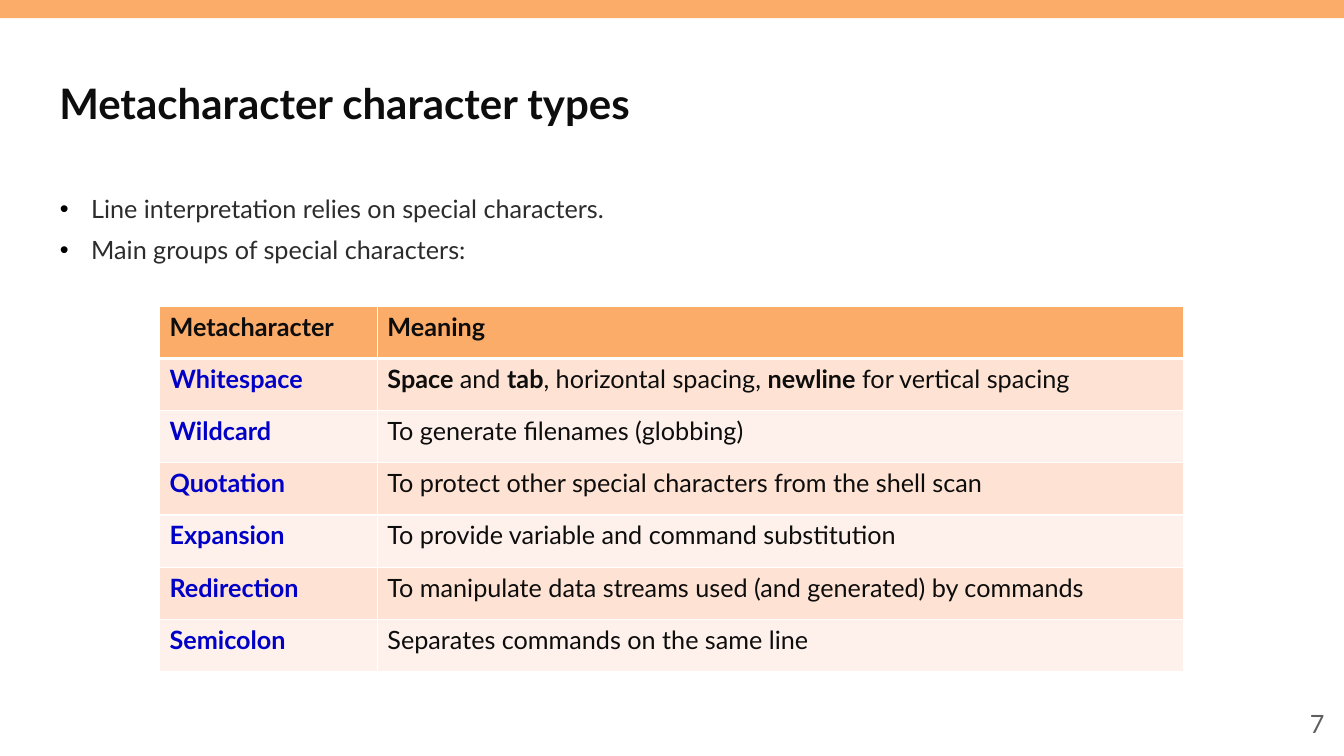
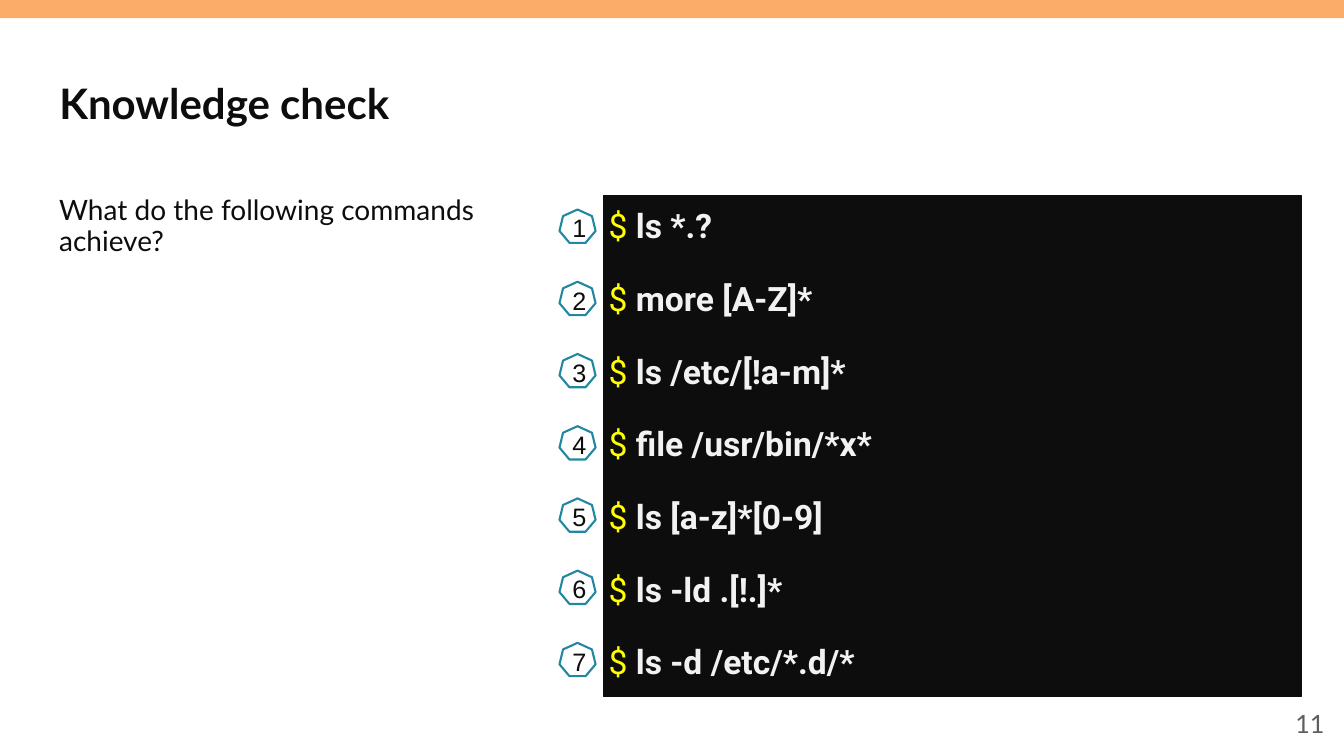
from pptx import Presentation
from pptx.dml.color import RGBColor
from pptx.enum.shapes import MSO_SHAPE
from pptx.enum.text import MSO_ANCHOR, PP_ALIGN
from pptx.oxml.ns import qn
from pptx.util import Cm, Pt
from lxml.etree import SubElement, Element

WIDE, HIGH = 33.87, 19.05
ORANGE, WHITE, INK = "FCAC69", "FFFFFF", "0D0D0D"
BLUE, SLATE, GREY = "0000C7", "2D2C2C", "5F5F5F"
TEAL, YELLOW, PALE = "2387A1", "FFFF00", "F2F2F2"
STRIPES = ("FEE3D4", "FEF1EB")
SANS, CODE, PLAIN = "Lato", "Roboto", "Arial"

POINTS = ("Line interpretation relies on special characters.",
          "Main groups of special characters:")
HEADS = ("Metacharacter", "Meaning")
GROUPS = (
    ("Whitespace", (("Space", True), (" and ", False), ("tab", True),
                    (", horizontal spacing, ", False), ("newline", True),
                    (" for vertical spacing", False))),
    ("Wildcard", (("To generate filenames (globbing)", False),)),
    ("Quotation", (("To protect other special characters from the shell scan", False),)),
    ("Expansion", (("To provide variable and command substitution", False),)),
    ("Redirection", (("To manipulate data streams used (and generated) by commands", False),)),
    ("Semicolon", (("Separates commands on the same line", False),)),
)
COMMANDS = ("ls *.?", "more [A-Z]*", "ls /etc/[!a-m]*", "file /usr/bin/*x*",
            "ls [a-z]*[0-9]", "ls -ld .[!.]*", "ls -d /etc/*.d/*")


def color(code):
    return RGBColor.from_string(code)


def style(run, size, code, bold=False, face=SANS):
    run.font.size = Pt(size)
    run.font.name = face
    run.font.bold = bold
    run.font.color.rgb = color(code)


def add_part(para, text, *look):
    run = para.add_run()
    run.text = text
    style(run, *look)


def inset(frame, left, top, right, bottom):
    frame.margin_left, frame.margin_top = Cm(left), Cm(top)
    frame.margin_right, frame.margin_bottom = Cm(right), Cm(bottom)


def add_form(slide, kind, box, fill=None, line=None, width=1):
    form = slide.shapes.add_shape(kind, *map(Cm, box))
    form.shadow.inherit = False
    if fill:
        form.fill.solid()
        form.fill.fore_color.rgb = color(fill)
    else:
        form.fill.background()
    if line:
        form.line.color.rgb = color(line)
        form.line.width = Pt(width)
    else:
        form.line.fill.background()
    return form


def add_text(slide, box, lines, size, code, align=PP_ALIGN.LEFT,
             anchor=MSO_ANCHOR.TOP, gap=0):
    frame = slide.shapes.add_textbox(*map(Cm, box)).text_frame
    frame.word_wrap = True
    frame.vertical_anchor = anchor
    frame.text = "\n".join(lines)
    for row, para in enumerate(frame.paragraphs):
        para.alignment = align
        para.line_spacing = 0.9
        if row:
            para.space_before = Pt(gap)
        style(para.runs[0], size, code)
    return frame


def add_bullet(para):
    props = para._p.get_or_add_pPr()
    props.set("marL", str(Cm(0.81)))
    props.set("indent", str(-Cm(0.79)))
    tint = SubElement(props, qn("a:buClr"))
    SubElement(tint, qn("a:srgbClr"), val="000000")
    SubElement(props, qn("a:buFont"), typeface=PLAIN)
    SubElement(props, qn("a:buChar"), char="•")


def start_slide(deck, title, number):
    slide = deck.slides.add_slide(deck.slide_layouts[5])
    add_form(slide, MSO_SHAPE.RECTANGLE, (0, 0, WIDE, 0.46), ORANGE)
    head = slide.shapes.title
    head.left, head.top, head.width, head.height = map(Cm, (1.24, 1.4, 31.4, 2.39))
    frame = head.text_frame
    frame.text = title
    frame.vertical_anchor = MSO_ANCHOR.MIDDLE
    frame.paragraphs[0].alignment = PP_ALIGN.LEFT
    style(frame.paragraphs[0].runs[0], 30, INK, True)
    add_text(slide, (26.01, 17.78, 7.62, 1.02), [number], 18, GREY,
             PP_ALIGN.RIGHT, MSO_ANCHOR.MIDDLE)
    return slide


def edge_cell(cell, base):
    props = cell._tc.get_or_add_tcPr()
    for place, (side, width) in enumerate((("L", 1), ("R", 1), ("T", 1), ("B", base))):
        line = Element(qn("a:ln" + side), w=str(Pt(width)))
        fill = SubElement(line, qn("a:solidFill"))
        SubElement(fill, qn("a:srgbClr"), val=WHITE)
        props.insert(place, line)


def fill_cell(cell, parts, code, back, base=1):
    cell.fill.solid()
    cell.fill.fore_color.rgb = color(back)
    edge_cell(cell, base)
    for text, bold in parts:
        add_part(cell.text_frame.paragraphs[0], text, 18, code, bold)


def add_groups(slide, box):
    grid = slide.shapes.add_table(len(GROUPS) + 1, 2, *map(Cm, box)).table
    first = 5.49
    grid.columns[0].width = Cm(first)
    grid.columns[1].width = Cm(box[2] - first)
    for row in grid.rows:
        row.height = Cm(box[3] / len(grid.rows))
    for col, head in enumerate(HEADS):
        fill_cell(grid.cell(0, col), [(head, True)], INK, ORANGE, 3)
    for row, (name, parts) in enumerate(GROUPS, 1):
        back = STRIPES[(row - 1) % 2]
        fill_cell(grid.cell(row, 0), [(name, True)], BLUE, back)
        fill_cell(grid.cell(row, 1), parts, INK, back)


def add_shell(slide, box):
    left, top = box[:2]
    panel = add_form(slide, MSO_SHAPE.RECTANGLE, box, INK, INK)
    frame = panel.text_frame
    frame.word_wrap = True
    frame.vertical_anchor = MSO_ANCHOR.MIDDLE
    inset(frame, 0.13, 0.05, 0.13, 0.05)
    for row, command in enumerate(COMMANDS):
        para = frame.add_paragraph() if row else frame.paragraphs[0]
        para.alignment = PP_ALIGN.LEFT
        para.line_spacing = 0.9
        if row:
            para.space_before = Pt(26)
        add_part(para, "$ ", 24, YELLOW, False, CODE)
        add_part(para, command, 24, PALE, True, CODE)
        add_badge(slide, (left - 1.11, top + 0.35 + 1.82 * row, 0.91, 0.84), row + 1)


def add_badge(slide, box, number):
    badge = add_form(slide, MSO_SHAPE.HEPTAGON, box, None, TEAL, 1.5)
    frame = badge.text_frame
    inset(frame, 0.1, 0.08, 0, 0)
    frame.vertical_anchor = MSO_ANCHOR.MIDDLE
    frame.text = str(number)
    para = frame.paragraphs[0]
    para.alignment = PP_ALIGN.CENTER
    style(para.runs[0], 18, INK, False, PLAIN)


def build_types(deck):
    slide = start_slide(deck, "Metacharacter character types", "7")
    frame = add_text(slide, (1.24, 4.83, 31.4, 2.4), POINTS, 18, SLATE, gap=9.8)
    for para in frame.paragraphs:
        add_bullet(para)
    add_groups(slide, (4.02, 7.72, 25.8, 9.2))


def build_check(deck):
    slide = start_slide(deck, "Knowledge check", "11")
    add_text(slide, (1.24, 4.83, 11.33, 2.4),
             ["What do the following commands achieve?"], 20, INK)
    add_shell(slide, (15.21, 4.93, 17.58, 12.62))


def main():
    deck = Presentation()
    deck.slide_width, deck.slide_height = Cm(WIDE), Cm(HIGH)
    build_types(deck)
    build_check(deck)
    deck.save("out.pptx")


if __name__ == "__main__":
    main()
